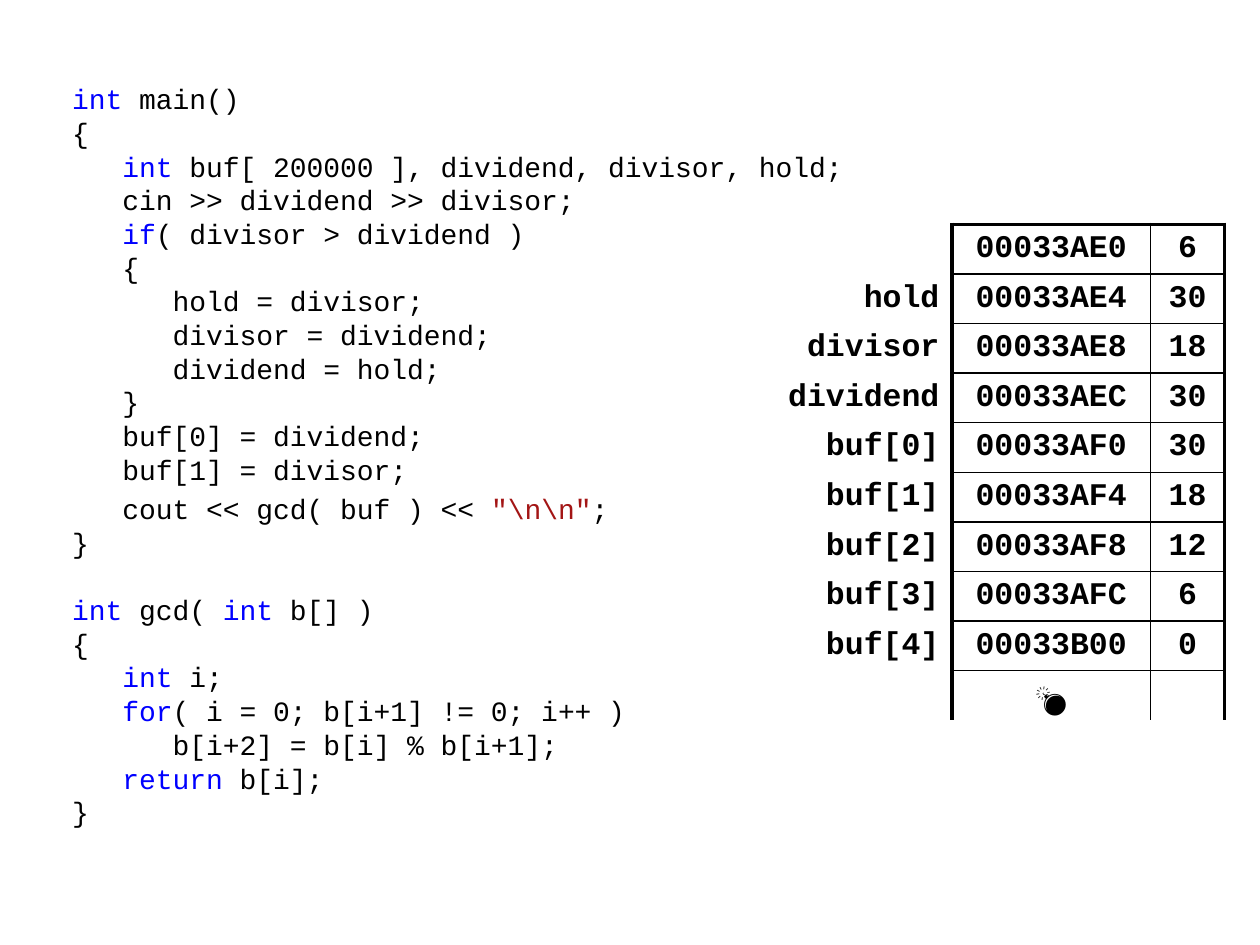
from lxml.etree import SubElement
from pptx import Presentation
from pptx.dml.color import RGBColor
from pptx.enum.text import MSO_ANCHOR, MSO_AUTO_SIZE, PP_ALIGN
from pptx.oxml.ns import qn
from pptx.util import Cm, Pt

FONT = "Courier New"
BLACK, BLUE, RED = "000000", "0000FF", "A31515"
PITCH = 19.25  # line pitch of the code, in points
THICK, THIN = 2.25, 1

# Backticks enclose the coloured parts of a line
MAIN = r'''`int` main()
{
   `int `buf[ 200000 ], dividend, divisor, hold;
   cin >> dividend >> divisor;
   `if`( divisor > dividend )
   {
      hold = divisor;
      divisor = dividend;
      dividend = hold;
   }
   buf[0] = dividend;
   buf[1] = divisor;
   cout << gcd( buf ) << `"\n\n"`;
}'''
GCD = r'''`int `gcd( `int` b[] )
{
   `int `i;
   `for`( i = 0; b[i+1] != 0; i++ )
      b[i+2] = b[i] % b[i+1];
   `return` b[i];
}'''

MEMORY = [
    ("", "00033AE0", "6"),
    ("hold", "00033AE4", "30"),
    ("divisor", "00033AE8", "18"),
    ("dividend", "00033AEC", "30"),
    ("buf[0]", "00033AF0", "30"),
    ("buf[1]", "00033AF4", "18"),
    ("buf[2]", "00033AF8", "12"),
    ("buf[3]", "00033AFC", "6"),
    ("buf[4]", "00033B00", "0"),
    ("", "💣", ""),
]


def paint(color, tint):
    color.rgb = RGBColor.from_string(tint)


def style(font, size, bold=False):
    font.name, font.size, font.bold = FONT, Pt(size), bold
    paint(font.color, BLACK)


def add_line(para, line, gap):
    props = para._p.get_or_add_pPr()
    props.set("marL", "0")
    props.set("indent", "0")
    SubElement(props, qn("a:buNone"))
    para.line_spacing = Pt(PITCH)
    para.space_before = Pt(gap)
    style(para.font, 16)
    for i, part in enumerate(line.split("`")):
        if part:
            run = para.add_run()
            run.text = part
            style(run.font, 16)
            if i % 2:
                paint(run.font.color, RED if part[0] == '"' else BLUE)


def add_code(slide, left, top, width, height):
    body = slide.placeholders[1]
    body.left, body.top, body.width, body.height = left, top, width, height
    frame = body.text_frame
    frame.word_wrap = True
    frame.auto_size = MSO_AUTO_SIZE.NONE
    frame.vertical_anchor = MSO_ANCHOR.TOP
    main, gcd = MAIN.split("\n"), GCD.split("\n")
    for i, line in enumerate(main + gcd):
        gap = PITCH if i == len(main) else 3.2 if "cout" in line else 0
        para = frame.add_paragraph() if i else frame.paragraphs[0]
        add_line(para, line, gap)


def set_edges(cell, left, right, top, bottom):
    props = cell._tc.get_or_add_tcPr()
    edges = {"a:lnL": left, "a:lnR": right, "a:lnT": top, "a:lnB": bottom}
    for tag, width in edges.items():
        edge = SubElement(props, qn(tag), w=str(Pt(width)))
        if width:
            fill = SubElement(edge, qn("a:solidFill"))
            SubElement(fill, qn("a:srgbClr"), val=BLACK)
        else:
            SubElement(edge, qn("a:noFill"))


def add_memory(slide, left, top, width, height):
    count = len(MEMORY)
    frame = slide.shapes.add_table(count, 3, left, top, width, height)
    table = frame.table
    table.first_row = table.horz_banding = False
    for col, size in zip(table.columns, (4, 4, 1.5)):
        col.width = Cm(size)
    for r, row in enumerate(MEMORY):
        table.rows[r].height = height // count
        upper = THIN if r else THICK
        lower = THIN if r < count - 1 else 0
        for c, text in enumerate(row):
            cell = table.cell(r, c)
            if c == 0:
                set_edges(cell, 0, THICK, 0, 0)
            elif c == 1:
                set_edges(cell, THICK, THIN, upper, lower)
            else:
                set_edges(cell, THIN, THICK, upper, lower)
            cell.fill.background()
            cell.margin_top = cell.margin_bottom = Cm(0.1)
            cell.vertical_anchor = MSO_ANCHOR.MIDDLE
            cell.text = text
            para = cell.text_frame.paragraphs[0]
            para.alignment = PP_ALIGN.CENTER if c else PP_ALIGN.RIGHT
            style(para.font, 18, True)
    # The bomb sits on the open lower edge
    bomb = table.cell(count - 1, 1)
    bomb.vertical_anchor = MSO_ANCHOR.BOTTOM
    bomb.margin_bottom = 0


def main():
    deck = Presentation()
    deck.slide_width, deck.slide_height = Cm(25.4), Cm(19.05)
    slide = deck.slides.add_slide(deck.slide_layouts[1])
    title = slide.shapes.title
    title.element.getparent().remove(title.element)
    add_code(slide, Cm(1.2), Cm(1.52), Cm(16.5), Cm(15.5))
    add_memory(slide, Cm(15.19), Cm(4.52), Cm(9.5), Cm(10))
    deck.save("out.pptx")


if __name__ == "__main__":
    main()
